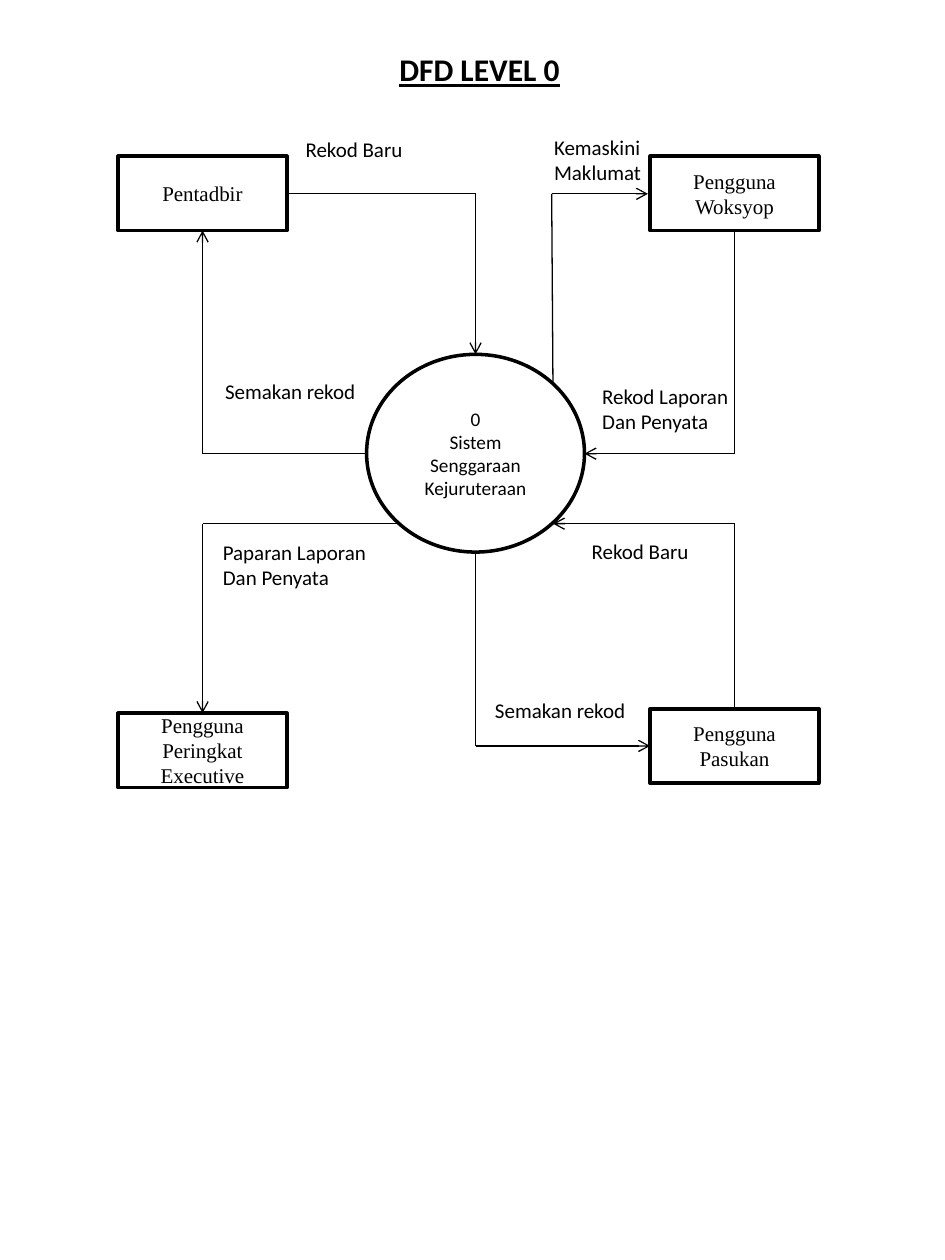
from pptx import Presentation
from pptx.dml.color import RGBColor
from pptx.enum.shapes import MSO_CONNECTOR, MSO_SHAPE
from pptx.enum.text import MSO_ANCHOR, PP_ALIGN
from pptx.oxml.ns import qn
from pptx.util import Pt
from lxml.etree import SubElement

COLORS = {"ink": "000000", "paper": "FFFFFF"}
INK = RGBColor.from_string(COLORS["ink"])
PAPER = RGBColor.from_string(COLORS["paper"])

presentation = Presentation()
presentation.slide_width, presentation.slide_height = Pt(540), Pt(720)
slide = presentation.slides.add_slide(presentation.slide_layouts[6])


def write(shape, text, size, font="Calibri", align=PP_ALIGN.LEFT):
    text_frame = shape.text_frame
    text_frame.word_wrap = True
    text_frame.text = text
    for paragraph in text_frame.paragraphs:
        paragraph.alignment = align
        for run in paragraph.runs:
            run.font.name, run.font.size = font, Pt(size)
            run.font.color.rgb = INK


def add_node(kind, left, top, width, height, text, size, font):
    shape = slide.shapes.add_shape(kind, Pt(left), Pt(top), Pt(width), Pt(height))
    shape.shadow.inherit = False
    shape.fill.solid()
    shape.fill.fore_color.rgb = PAPER
    shape.line.color.rgb = INK
    shape.line.width = Pt(2)
    shape.text_frame.vertical_anchor = MSO_ANCHOR.MIDDLE
    write(shape, text, size, font, PP_ALIGN.CENTER)


# Central process
add_node(MSO_SHAPE.OVAL, 209.5, 202.5, 124.5, 113,
         "0\nSistem Senggaraan Kejuruteraan", 11, "Calibri")

# External entities
LEFT, RIGHT = 67.5, 371.5
entities = [
    (LEFT, 89.25, "Pentadbir"),
    (RIGHT, 89.25, "Pengguna Woksyop"),
    (RIGHT, 405, "Pengguna Pasukan"),
    (LEFT, 407.5, "Pengguna Peringkat Executive"),
]
for left, top, name in entities:
    add_node(MSO_SHAPE.RECTANGLE, left, top, 96.5, 42.5, name, 12, "Times New Roman")

# Data flows: start, corner, end with an arrowhead
flows = [
    [(164, 110.75), (271.75, 110.75), (271.75, 202.5)],
    [(209.5, 259.25), (115.75, 259.25), (115.75, 131.75)],
    [(419.75, 131.75), (419.75, 259.25), (334, 259.25)],
    [(316, 219.5), (315.25, 110.75), (370.25, 110.75)],
    [(227.5, 299.25), (115.75, 299.25), (115.75, 407.5)],
    [(419.75, 405), (419.75, 299.25), (316, 299.25)],
    [(271.75, 315.5), (271.75, 426.25), (371.5, 426.25)],
]
for start, corner, end in flows:
    for begin, finish in ((start, corner), (corner, end)):
        connector = slide.shapes.add_connector(
            MSO_CONNECTOR.STRAIGHT, *map(Pt, begin + finish))
        connector.line.color.rgb = INK
        connector.line.width = Pt(0.75)
        if finish == end:
            SubElement(connector.line._get_or_add_ln(), qn("a:tailEnd"), type="arrow")
        SubElement(connector._element.spPr, qn("a:effectLst"))

# Title
title = slide.shapes.add_textbox(Pt(171.5), Pt(25.25), Pt(205), Pt(29))
write(title, "DFD LEVEL 0", 18, align=PP_ALIGN.CENTER)
title_font = title.text_frame.paragraphs[0].runs[0].font
title_font.bold = title_font.underline = True

# Flow labels
labels = [
    (120.25, 304.5, "Paparan Laporan\nDan Penyata"),
    (167.5, 74.5, "Rekod Baru"),
    (121.5, 212.75, "Semakan rekod"),
    (331, 304, "Rekod Baru"),
    (275.75, 394.75, "Semakan rekod"),
    (337, 215.75, "Rekod Laporan\nDan Penyata"),
    (309.5, 73.25, "Kemaskini\nMaklumat"),
]
for left, top, text in labels:
    height = 36 if "\n" in text else 21.75
    label = slide.shapes.add_textbox(Pt(left), Pt(top), Pt(120), Pt(height))
    write(label, text, 12)

presentation.save("out.pptx")
